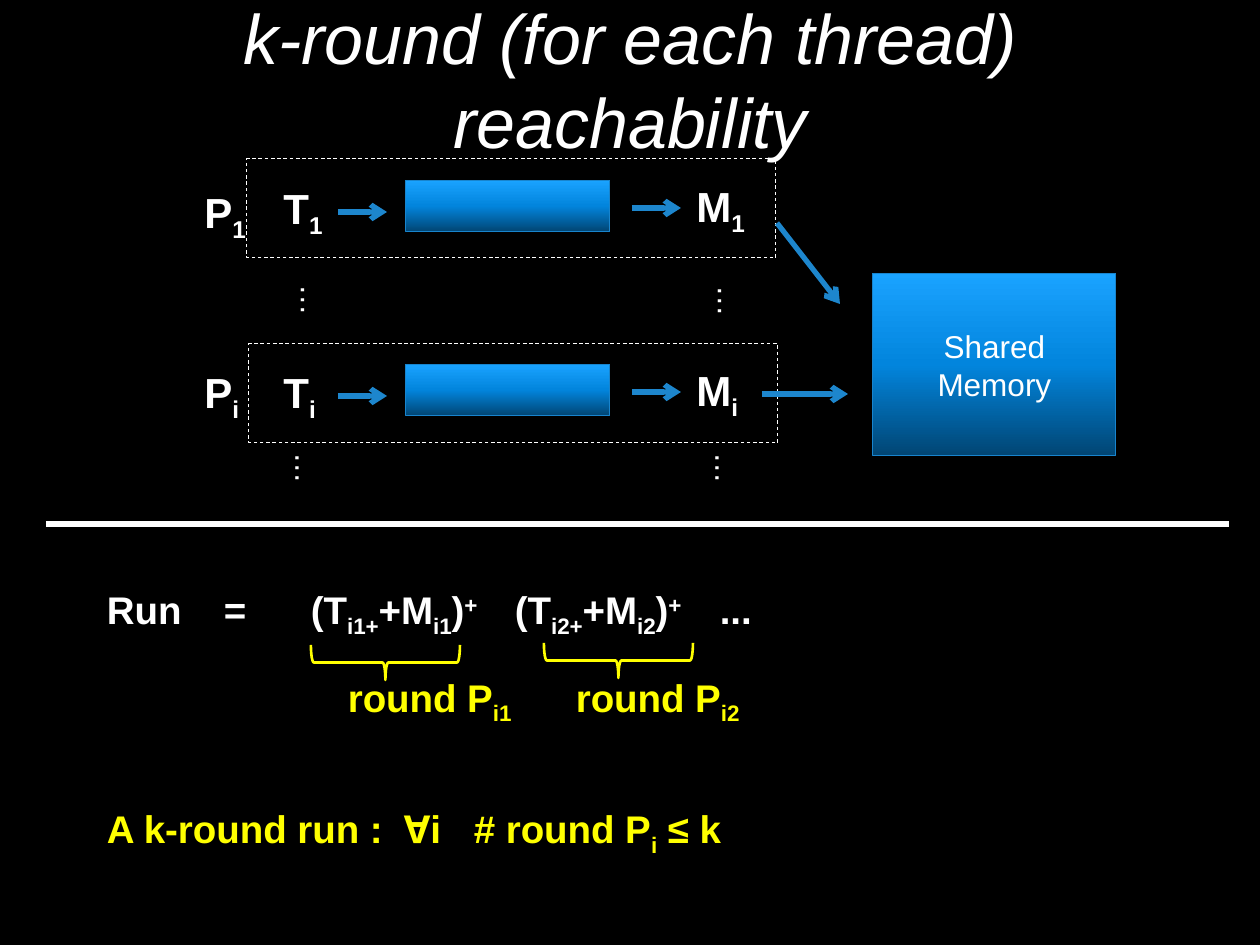
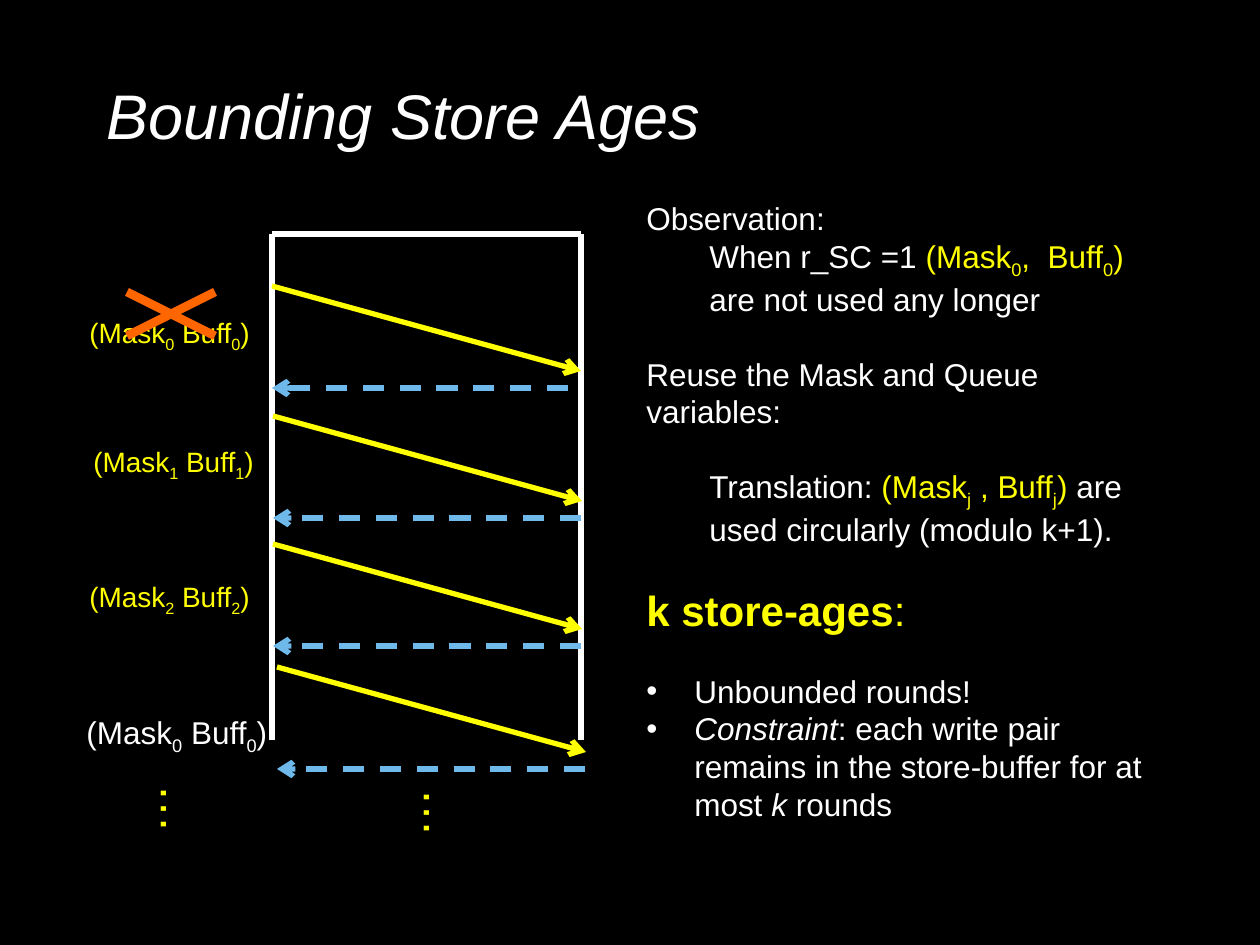
from lxml import etree
from pptx import Presentation
from pptx.dml.color import RGBColor
from pptx.enum.dml import MSO_LINE
from pptx.enum.shapes import MSO_CONNECTOR, MSO_SHAPE
from pptx.enum.text import MSO_ANCHOR, PP_ALIGN
from pptx.oxml.ns import qn
from pptx.util import Pt

SCALE = 914400 // 126
STRAIGHT = MSO_CONNECTOR.STRAIGHT
RECTANGLE, BRACE = MSO_SHAPE.RECTANGLE, MSO_SHAPE.LEFT_BRACE
DASH = MSO_LINE.DASH
LEFT, CENTER = PP_ALIGN.LEFT, PP_ALIGN.CENTER
TOP, MIDDLE = MSO_ANCHOR.TOP, MSO_ANCHOR.MIDDLE

FONT = "Arial"
COLORS = {"back": "000000", "white": "FFFFFF", "yellow": "FFFF00", "arrow": "1D86CD",
          "edge": "1884CD", "reply": "6EB8EA", "cross": "FF6600"}
GRADIENT = [(0, "014573"), (50, "0285DD"), (100, "1AA3FF")]

# Text pieces are split by "|"; leading marks set the format of one piece:
# _ subscript, ^ superscript, / italic, ~ bold, ! yellow
MARKS = "_^/~!"

TITLES = ["k-round (for each thread) reachability", "Bounding Store Ages"]

# index, y of the row, y of the P label, left and top of the dashed frame
THREADS = [("1", 180, 180, 247, 159), ("i", 364, 360, 249, 344)]
THREAD_DOTS = [(285, 276, 57), (702, 277, 57), (267, 456, 82), (687, 456, 82)]
TO_MEMORY = [((777, 223), (840, 304)), ((762, 394), (848, 394))]
BRACES = [(368, 588), (601, 586)]
RUN_LINES = [
    ("Run\t=\t(T|_i1+|+M|_i1|)|^+|\t(T|_i2+|+M|_i2|)|^+|\t...",
     dict(tabs=[117, 204, 408, 613])),
    ("!\tround P|!_i1|!\tround P|!_i2", dict(tabs=[241, 469], before=20)),
    ("!A k-round run :\tⱯi\t# round P|!_i|! ≤ k", dict(tabs=[297, 367], before=45)),
]

# left and top of the message, right end of the reply
MESSAGES = [(272, 286, 568), (273, 416, 581), (273, 544, 581), (277, 667, 585)]
# index, left, top, size, colour, top inset
BUFFERS = [("0", 77, 292, 16, "yellow", 24), ("1", 81, 421, 16, "yellow", 24),
           ("2", 77, 556, 16, "yellow", 24), ("0", 74, 685, 18, "white", 28)]
AGE_DOTS = [(149, 767), (412, 771)]
WALLS = [((272, 740), (272, 234)), ((581, 740), (581, 234)), ((581, 234), (272, 234))]
CROSS = [((127, 336), (215, 292)), ((127, 292), (215, 336))]
OBSERVATIONS = [
    ("Observation:", {}),
    ("When r_SC =1 |!(Mask|!_0|!,  Buff|!_0|!) |are not used any longer", dict(margin=63)),
    ("Reuse the Mask and Queue variables:", dict(before=21)),
    ("Translation: |!(Mask|!_j|! , Buff|!_j|!) |are used circularly (modulo k+1).",
     dict(margin=63, before=21)),
    ("!~k store-ages|!:", dict(size=24, before=21)),
    ("Unbounded rounds!", dict(margin=48, bullet=True, before=21)),
    ("/Constraint|: each write pair remains in the store-buffer for at most |/k| rounds",
     dict(margin=48, bullet=True)),
]


def px(value):
    """Turn pixels into EMU."""
    return round(value * SCALE)


def rgb(name):
    """Look up a named colour."""
    return RGBColor.from_string(COLORS[name])


def add_runs(paragraph, text, size, color, bold, italic):
    """Write the marked pieces of a text as runs."""
    for piece in text.split("|"):
        body = piece.lstrip(MARKS)
        marks = piece[:len(piece) - len(body)]
        run = paragraph.add_run()
        run.text = body
        font = run.font
        font.name, font.size = FONT, Pt(size)
        font.bold = bold or "~" in marks
        font.italic = italic or "/" in marks
        font.color.rgb = rgb("yellow" if "!" in marks else color)
        for mark, shift in (("_", -25000), ("^", 30000)):
            if mark in marks:
                run.font._element.set("baseline", str(shift))


def write(shape, lines, size=18, color="white", bold=False, italic=False,
          align=LEFT, anchor=TOP, inset=None):
    """Fill a shape with one text or with (text, paragraph format) pairs."""
    frame = shape.text_frame
    frame.word_wrap = True
    frame.vertical_anchor = anchor
    if inset is not None:
        frame.margin_top = px(inset)
    if isinstance(lines, str):
        lines = [(lines, {})]
    for number, (text, style) in enumerate(lines):
        paragraph = frame.add_paragraph() if number else frame.paragraphs[0]
        paragraph.alignment = align
        paragraph.space_before = Pt(style.get("before", 0))
        properties = paragraph._p.get_or_add_pPr()
        margin = px(style.get("margin", 0))
        properties.set("marL", str(margin))
        if "bullet" in style:
            properties.set("indent", str(-margin))
            etree.SubElement(properties, qn("a:buFont"), typeface=FONT)
            etree.SubElement(properties, qn("a:buChar"), char="•")
        if "tabs" in style:
            tabs = etree.SubElement(properties, qn("a:tabLst"))
            for stop in style["tabs"]:
                etree.SubElement(tabs, qn("a:tab"), pos=str(px(stop)), algn="l")
        add_runs(paragraph, text, style.get("size", size), color, bold, italic)


def add_text(slide, box, lines, rotation=0, **style):
    """Add a text box."""
    shape = slide.shapes.add_textbox(*map(px, box))
    shape.rotation = rotation
    write(shape, lines, **style)


def add_outline(slide, kind, box, color, width, dash=None, rotation=0):
    """Add an unfilled preset shape and return it."""
    shape = slide.shapes.add_shape(kind, *map(px, box))
    shape.shadow.inherit = False
    shape.fill.background()
    shape.line.color.rgb = rgb(color)
    shape.line.width = Pt(width)
    shape.line.dash_style = dash
    shape.rotation = rotation
    return shape


def add_block(slide, box):
    """Add a rectangle with the blue gradient and return it."""
    shape = add_outline(slide, RECTANGLE, box, "edge", 0.5)
    shape.fill.gradient()
    shape.fill.gradient_angle = 90
    stops = shape._element.spPr.find(qn("a:gradFill")).find(qn("a:gsLst"))
    for stop in list(stops):
        stops.remove(stop)
    for position, color in GRADIENT:
        stop = etree.SubElement(stops, qn("a:gs"), pos=str(position * 1000))
        etree.SubElement(stop, qn("a:srgbClr"), val=color)
    return shape


def add_line(slide, start, end, color, width=3, dash=None, arrow=False):
    """Add a straight line, with an arrowhead at its end if asked."""
    line = slide.shapes.add_connector(STRAIGHT, *map(px, start + end))
    line.line.color.rgb = rgb(color)
    line.line.width = Pt(width)
    line.line.dash_style = dash
    properties = line._element.spPr
    if arrow:
        etree.SubElement(properties.find(qn("a:ln")), qn("a:tailEnd"), type="arrow")
    etree.SubElement(properties, qn("a:effectLst"))


def add_slide(presentation, title, top, size, align):
    """Add a black slide with its italic title."""
    slide = presentation.slides.add_slide(presentation.slide_layouts[6])
    slide.background.fill.solid()
    slide.background.fill.fore_color.rgb = rgb("back")
    add_text(slide, (94.5, top, 1071, 196), title, size=size, italic=True,
             align=align, anchor=MIDDLE)
    return slide


def build_reachability(presentation):
    """Build the slide with threads, shared memory and the run formula."""
    slide = add_slide(presentation, TITLES[0], -20, 40, CENTER)
    add_text(slide, (94.5, 580, 1071, 587 - 222), RUN_LINES, size=22, bold=True)
    for index, top, label_top, frame_left, frame_top in THREADS:
        add_block(slide, (406, top, 204, 52))
        add_line(slide, (338, top + 32), (387, top + 32), "arrow", arrow=True)
        add_line(slide, (632, top + 28), (681, top + 28), "arrow", arrow=True)
        labels = [("P", 192, label_top, 72), ("T", 271, top - 4, 72), ("M", 684, top - 6, 96)]
        for letter, left, letter_top, width in labels:
            add_text(slide, (left, letter_top, width, 63), f"{letter}|_{index}",
                     size=24, bold=True)
        add_outline(slide, RECTANGLE, (frame_left, frame_top, 529, 99), "white", 0.5, DASH)
    write(add_block(slide, (873, 273, 243, 183)), [("Shared", {}), ("Memory", {})],
          align=CENTER, anchor=MIDDLE)
    for start, end in TO_MEMORY:
        add_line(slide, start, end, "arrow", arrow=True)
    for left, top, width in THREAD_DOTS:
        add_text(slide, (left, top, width, 50), "…", rotation=90)
    for left, top in BRACES:
        add_outline(slide, BRACE, (left, top, 35, 149), "yellow", 1.5, rotation=270)
    add_line(slide, (46, 524), (1229, 524), "white")


def build_store_ages(presentation):
    """Build the slide with the message chart and the observations."""
    slide = add_slide(presentation, TITLES[1], 16, 36, LEFT)
    add_text(slide, (634, 193, 543, 649), OBSERVATIONS)
    for start, end in WALLS:
        add_line(slide, start, end, "white")
    for left, top, reply_right in MESSAGES:
        add_line(slide, (left, top), (left + 309, top + 85), "yellow", arrow=True)
        add_line(slide, (reply_right, top + 102), (left, top + 102), "reply",
                 dash=DASH, arrow=True)
    for index, left, top, size, color, inset in BUFFERS:
        add_text(slide, (left, top, 247, 81), f"(Mask|_{index}| Buff|_{index}|)",
                 size=size, color=color, inset=inset)
    for left, top in AGE_DOTS:
        add_text(slide, (left, top, 62, 72), "…", size=28, color="yellow", rotation=90)
    for start, end in CROSS:
        add_line(slide, start, end, "cross", width=5)


presentation = Presentation()
presentation.slide_width, presentation.slide_height = px(1260), px(945)
build_reachability(presentation)
build_store_ages(presentation)
presentation.save("out.pptx")
